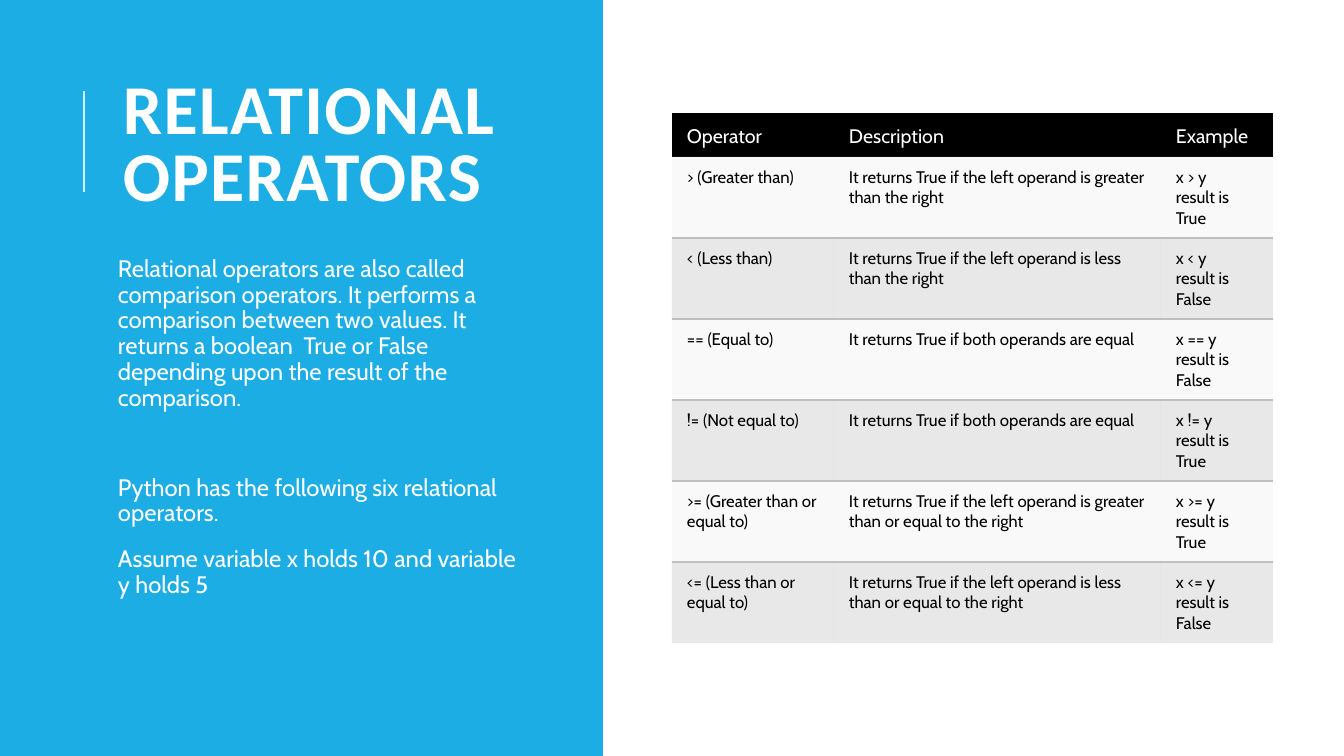
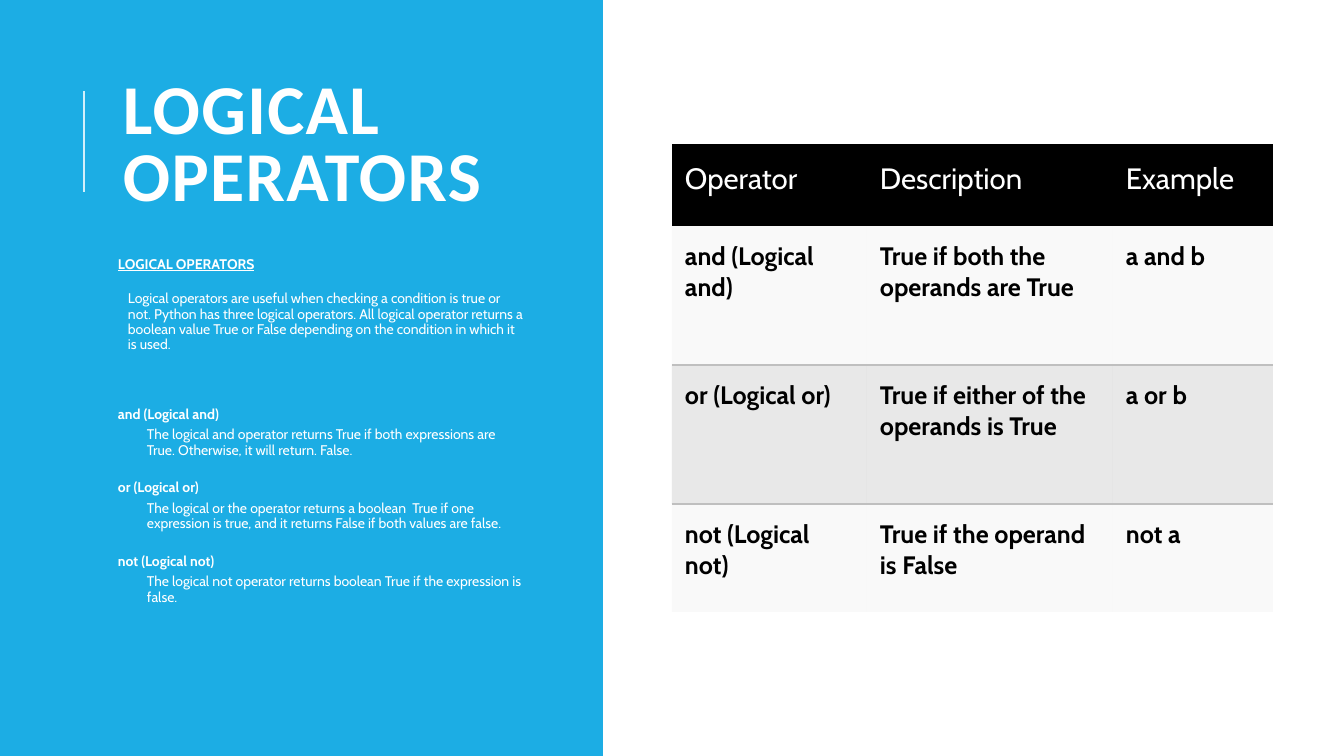
from pptx import Presentation
from pptx.dml.color import RGBColor
from pptx.enum.shapes import MSO_CONNECTOR, MSO_SHAPE
from pptx.enum.text import MSO_ANCHOR
from pptx.oxml.ns import qn
from pptx.util import Pt
from lxml import etree

# Shared look
SCALE = 914400 / 100.8  # EMU in one px
WIDTH, HEIGHT = 1344, 756
BLUE = RGBColor(0x1C, 0xAD, 0xE4)
PALE = RGBColor(0xD2, 0xEF, 0xFA)
WHITE = RGBColor(0xFF, 0xFF, 0xFF)
BLACK = RGBColor(0, 0, 0)
LIGHT = RGBColor(0xF2, 0xF2, 0xF2)
GREY = RGBColor(0xBF, 0xBF, 0xBF)
HEAD_FONT, FONT = "Calibri", "Cabin"
RECT = MSO_SHAPE.RECTANGLE
LINE = MSO_CONNECTOR.STRAIGHT
TOP, MIDDLE = MSO_ANCHOR.TOP, MSO_ANCHOR.MIDDLE
NO_STYLE = "{2D5ABB26-0587-4C30-8999-92F81FD0307C}"
HEADS = ["Operator", "Description", "Example"]

# Slide content
RELATION_ROWS = [
    ["> (Greater than)", "It returns True if the left operand is greater than the right",
     "x > y\nresult is True"],
    ["< (Less than)", "It returns True if the left operand is less than the right",
     "x < y\nresult is False"],
    ["== (Equal to)", "It returns True if both operands are equal",
     "x == y\nresult is False"],
    ["!= (Not equal to)", "It returns True if both operands are equal",
     "x != y\nresult is True"],
    [">= (Greater than or equal to)",
     "It returns True if the left operand is greater than or equal to the right",
     "x >= y\nresult is True"],
    ["<= (Less than or equal to)",
     "It returns True if the left operand is less than or equal to the right",
     "x <= y\nresult is False"],
]
RELATION_TEXT = [
    ("Relational operators are also called comparison operators. It performs a "
     "comparison between two values. It returns a boolean  True or False "
     "depending upon the result of the comparison.", {}),
    ("Python has the following six relational operators.", {"before": 44}),
    ("Assume variable x holds 10 and variable y holds 5", {}),
]
LOGIC_ROWS = [
    ["and (Logical and)", "True if both the operands are True", "a and b"],
    ["or (Logical or)", "True if either of the operands is True", "a or b"],
    ["not (Logical not)", "True if the operand is False", "not a"],
]
TERM = {"bold": True}
DETAIL = {"before": 2, "after": 4, "indent": 29}
LOGIC_TEXT = [
    ("LOGICAL OPERATORS", {"bold": True, "under": True}),
    ("Logical operators are useful when checking a condition is true or not. "
     "Python has three logical operators. All logical operator returns a boolean "
     "value True or False depending on the condition in which it is used.",
     {"indent": 10}),
    ("and (Logical and)", {**TERM, "before": 37}),
    ("The logical and operator returns True if both expressions are True. "
     "Otherwise, it will return. False.", DETAIL),
    ("or (Logical or)", TERM),
    ("The logical or the operator returns a boolean  True if one expression is "
     "true, and it returns False if both values are false.", DETAIL),
    ("not (Logical not)", TERM),
    ("The logical not operator returns boolean True if the expression is false.",
     DETAIL),
]


def px(value):
    return round(value * SCALE)


def set_font(para, size, color, name=FONT, bold=False):
    font = para.font
    font.name, font.size, font.bold = name, Pt(size), bold
    font.color.rgb = color


def add_box(slide, left, top, width, height):
    frame = slide.shapes.add_textbox(px(left), px(top), px(width), px(height)).text_frame
    frame.word_wrap = True
    return frame


def add_panel(slide):
    panel = slide.shapes.add_shape(RECT, 0, 0, px(603), px(HEIGHT))
    panel.shadow.inherit = False
    panel.fill.solid()
    panel.fill.fore_color.rgb = BLUE
    panel.line.fill.background()


def add_title(slide, text):
    frame = add_box(slide, 113, 65, 416, 165)
    frame.vertical_anchor = MIDDLE
    para = frame.paragraphs[0]
    para.text = text
    para.line_spacing = 0.8
    set_font(para, 50, WHITE, HEAD_FONT, True)
    para._p.pPr.find(qn("a:defRPr")).set("spc", "100")
    # Rule beside the title
    rule = slide.shapes.add_connector(LINE, px(84), px(192), px(84), px(91))
    rule.line.color.rgb = PALE
    rule.line.width = Pt(1.5)
    etree.SubElement(rule._element.spPr, qn("a:effectLst"))


def add_body(slide, items, size):
    frame = add_box(slide, 113, 252, 418, 433)
    frame.margin_left = frame.margin_right = px(5)
    frame.margin_top = frame.margin_bottom = px(5)
    for i, (text, look) in enumerate(items):
        para = frame.add_paragraph() if i else frame.paragraphs[0]
        para.text = text
        para.line_spacing = 0.9
        para.space_before = Pt(look.get("before", 12))
        para.space_after = Pt(look.get("after", 2))
        set_font(para, size, WHITE, bold=look.get("bold", False))
        para.font.underline = look.get("under", False)
        para._p.pPr.set("marL", str(px(look.get("indent", 0))))


def fill_cell(cell, color, alpha):
    cell.fill.solid()
    cell.fill.fore_color.rgb = color
    if alpha < 100:
        tint = cell._tc.tcPr.find(".//" + qn("a:srgbClr"))
        etree.SubElement(tint, qn("a:alpha"), val=str(alpha * 1000))


def add_edge(cell, side):
    edge = etree.Element(qn("a:" + side), w=str(Pt(1)))
    fill = etree.SubElement(edge, qn("a:solidFill"))
    etree.SubElement(fill, qn("a:srgbClr"), val=str(GREY))
    cell._tc.tcPr.insert(0, edge)


def add_grid(slide, top, rows, widths, heights, pads, sizes, bold=False):
    data = [HEADS] + rows
    table = slide.shapes.add_table(len(data), len(HEADS), px(672), px(top),
                                   px(sum(widths)), px(sum(heights))).table
    table._tbl.tblPr.find(qn("a:tableStyleId")).text = NO_STYLE
    table.horz_banding = False
    for col, width in zip(table.columns, widths):
        col.width = px(width)
    for r, (row, height) in enumerate(zip(data, heights)):
        table.rows[r].height = px(height)
        head, dark = r == 0, r > 0 and r % 2 == 0
        for c, text in enumerate(row):
            cell = table.cell(r, c)
            cell.text = text
            cell.vertical_anchor = MIDDLE if head else TOP
            (cell.margin_left, cell.margin_top,
             cell.margin_right, cell.margin_bottom) = map(px, pads)
            for para in cell.text_frame.paragraphs:
                set_font(para, sizes[0 if head else 1], WHITE if head else BLACK,
                         bold=bold and not head)
            if head:
                fill_cell(cell, BLACK, 100)
            elif dark:
                # Thin line between a light row and the dark one below
                fill_cell(cell, GREY, 35)
                add_edge(cell, "lnT")
                add_edge(table.cell(r - 1, c), "lnB")
            else:
                fill_cell(cell, LIGHT, 45)


def add_page(deck, title, items, size):
    slide = deck.slides.add_slide(deck.slide_layouts[6])
    add_panel(slide)
    add_title(slide, title)
    add_body(slide, items, size)
    return slide


def main():
    deck = Presentation()
    deck.slide_width, deck.slide_height = px(WIDTH), px(HEIGHT)

    # Relational operators
    slide = add_page(deck, "RELATIONAL OPERATORS", RELATION_TEXT, 17)
    add_grid(slide, 113, RELATION_ROWS, [162, 327, 112], [44] + [81] * 6,
             [15, 10, 12, 8], [14, 12])

    # Logical operators
    slide = add_page(deck, "LOGICAL OPERATORS", LOGIC_TEXT, 10)
    add_grid(slide, 144, LOGIC_ROWS, [195, 246, 160], [82, 139, 139, 108],
             [13, 15, 13, 26], [21, 18], True)

    deck.save("out.pptx")


if __name__ == "__main__":
    main()
